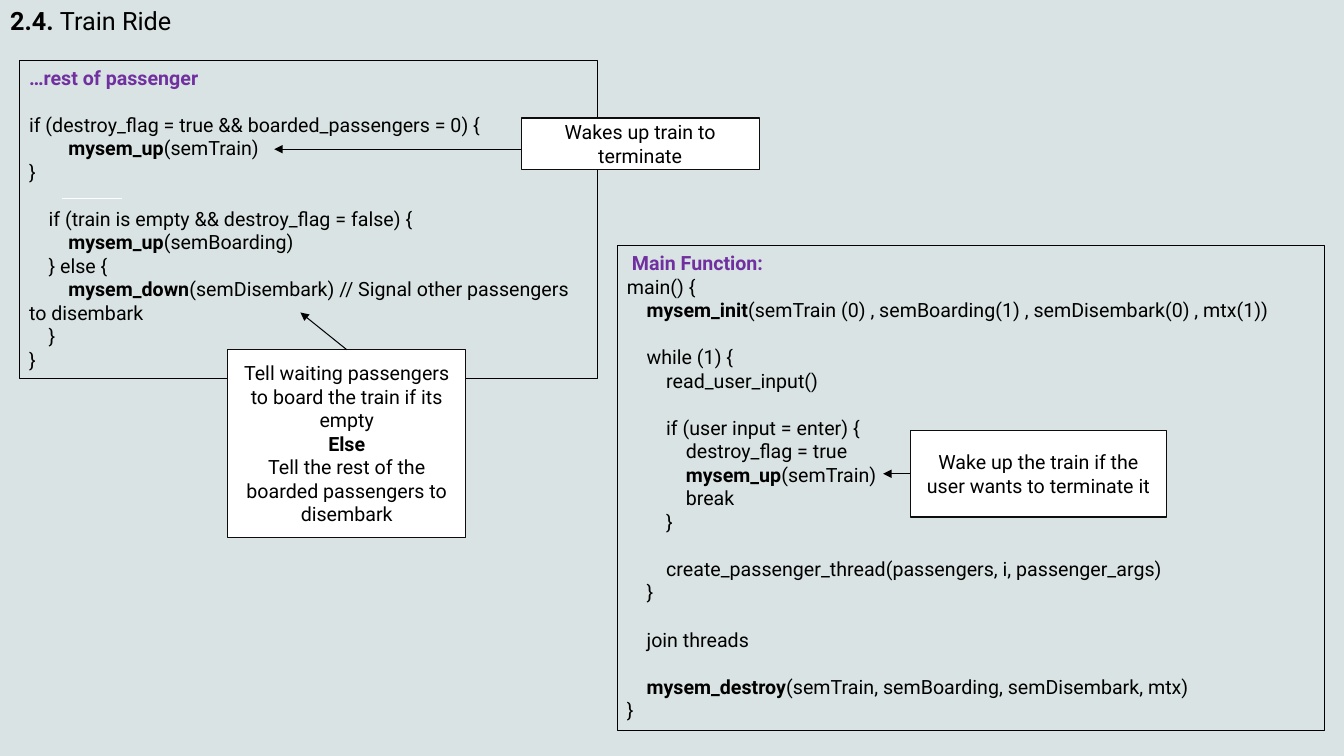
from lxml import etree
from pptx import Presentation
from pptx.dml.color import RGBColor
from pptx.enum.shapes import MSO_CONNECTOR, MSO_SHAPE
from pptx.enum.text import MSO_ANCHOR, MSO_AUTO_SIZE, PP_ALIGN
from pptx.oxml.ns import qn
from pptx.util import Inches, Pt

RECTANGLE = MSO_SHAPE.RECTANGLE
STRAIGHT = MSO_CONNECTOR.STRAIGHT
TOP, MIDDLE = MSO_ANCHOR.TOP, MSO_ANCHOR.MIDDLE
LEFT, CENTER = PP_ALIGN.LEFT, PP_ALIGN.CENTER
NO_FIT = MSO_AUTO_SIZE.NONE

BACKGROUND = RGBColor(0xDA, 0xE3, 0xE3)
BLACK = RGBColor(0, 0, 0)
NEAR_BLACK = RGBColor(0x0D, 0x0D, 0x0D)
WHITE = RGBColor(0xFF, 0xFF, 0xFF)
PURPLE = RGBColor(0x70, 0x30, 0xA0)

FONT = "Roboto"
INDENT_STEP = Pt(14)
BLANK_LINE = Pt(16.8)

# Content: code lines are (indent level, blank lines above, bold part, plain part)
TITLE = ("2.4. ", "Train Ride")
PASSENGER_CODE = [
    (0, 0, "…rest of passenger", ""),
    (0, 1, "", "if (destroy_flag = true && boarded_passengers = 0) {"),
    (2, 0, "mysem_up", "(semTrain)"),
    (0, 0, "", "}"),
    (1, 1, "", "if (train is empty && destroy_flag = false) {"),
    (2, 0, "mysem_up", "(semBoarding)"),
    (1, 0, "", "} else {"),
    (2, 0, "mysem_down", "(semDisembark) // Signal other passengers to disembark"),
    (1, 0, "", "}"),
    (0, 0, "", "}"),
]
MAIN_CODE = [
    (0.25, 0, "Main Function:", ""),
    (0, 0, "", "main() {"),
    (1, 0, "mysem_init", "(semTrain (0) , semBoarding(1) , semDisembark(0) , mtx(1))"),
    (1, 1, "", "while (1) {"),
    (2, 0, "", "read_user_input()"),
    (2, 1, "", "if (user input = enter) {"),
    (3, 0, "", "destroy_flag = true"),
    (3, 0, "mysem_up", "(semTrain)"),
    (3, 0, "", "break"),
    (2, 0, "", "}"),
    (2, 1, "", "create_passenger_thread(passengers, i, passenger_args)"),
    (1, 0, "", "}"),
    (1, 1, "", "join threads"),
    (1, 1, "mysem_destroy", "(semTrain, semBoarding, semDisembark, mtx)"),
    (0, 0, "", "}"),
]
CODE_PANELS = [
    ((0.19, 0.6, 5.74, 3.16), PASSENGER_CODE),
    ((6.12, 2.44, 7.02, 4.81), MAIN_CODE),
]
# Callout paragraphs are (bold part, plain part)
CALLOUTS = [
    ((5.17, 1.17, 2.36, 0.51), [("", "Wakes up train to terminate")]),
    ((2.26, 3.47, 2.36, 1.86), [
        ("", "Tell waiting passengers to board the train if its empty"),
        ("Else", ""),
        ("", "Tell the rest of the boarded passengers to disembark"),
    ]),
    ((9.03, 4.27, 2.54, 0.86),
     [("", "Wake up the train if the user wants to terminate it")]),
]
ACCENT_LINE = (0.62, 1.97, 1.21, 1.97)
ARROWS = [
    (5.17, 1.48, 2.72, 1.48),
    (3.44, 3.47, 2.98, 3.1),
    (9.03, 4.7, 8.76, 4.7),
]


def apply(target, values):
    for name, value in values.items():
        setattr(target, name, value)


def write(para, bold_part, plain_part, size=14, color=BLACK):
    for text, bold in ((bold_part, True), (plain_part, False)):
        if text:
            span = para.add_run()
            span.text = text
            apply(span.font, {"name": FONT, "size": Pt(size), "bold": bold})
            span.font.color.rgb = color


def add_paragraph(frame, position):
    return frame.add_paragraph() if position else frame.paragraphs[0]


def add_box(page, place, anchor, line_color, line_width, fill_color=None):
    box = page.shapes.add_shape(RECTANGLE, *map(Inches, place))
    box.shadow.inherit = False
    if fill_color is None:
        box.fill.background()
    else:
        box.fill.solid()
        box.fill.fore_color.rgb = fill_color
    box.line.color.rgb = line_color
    box.line.width = Pt(line_width)
    apply(box.text_frame, {"word_wrap": True, "vertical_anchor": anchor})
    return box.text_frame


def add_line(page, ends, color, width, arrow=False):
    line = page.shapes.add_connector(STRAIGHT, *map(Inches, ends))
    line.line.color.rgb = color
    line.line.width = Pt(width)
    if arrow:
        outline = line.line._get_or_add_ln()
        etree.SubElement(outline, qn("a:tailEnd"), type="triangle")
    etree.SubElement(line._element.spPr, qn("a:effectLst"))


def add_title(page):
    title = page.shapes.title
    apply(title, {"left": Inches(0), "top": Inches(0),
                  "width": Inches(6.67), "height": Inches(0.4)})
    frame = title.text_frame
    apply(frame, {"word_wrap": True, "vertical_anchor": TOP, "auto_size": NO_FIT})
    para = frame.paragraphs[0]
    para.alignment = LEFT
    write(para, *TITLE, size=18)


def add_code(page, place, lines):
    frame = add_box(page, place, TOP, BLACK, 0.75)
    for position, (level, blanks, bold_part, plain_part) in enumerate(lines):
        para = add_paragraph(frame, position)
        apply(para, {"alignment": LEFT, "space_before": blanks * BLANK_LINE})
        # First-line indent, so that wrapped text returns to the margin
        para._p.get_or_add_pPr().set("indent", str(int(level * INDENT_STEP)))
        write(para, bold_part, plain_part, color=BLACK if position else PURPLE)


def add_callout(page, place, paragraphs):
    frame = add_box(page, place, MIDDLE, NEAR_BLACK, 0.85, WHITE)
    for position, parts in enumerate(paragraphs):
        para = add_paragraph(frame, position)
        para.alignment = CENTER
        write(para, *parts)


def main():
    deck = Presentation()
    apply(deck, {"slide_width": Inches(13.33), "slide_height": Inches(7.5)})
    page = deck.slides.add_slide(deck.slide_layouts.get_by_name("Title Only"))
    page.background.fill.solid()
    page.background.fill.fore_color.rgb = BACKGROUND

    # Title and accent line
    add_title(page)
    add_line(page, ACCENT_LINE, WHITE, 1)

    # Code panels, their callouts and the arrows
    for place, lines in CODE_PANELS:
        add_code(page, place, lines)
    for place, paragraphs in CALLOUTS:
        add_callout(page, place, paragraphs)
    for ends in ARROWS:
        add_line(page, ends, BLACK, 0.75, arrow=True)

    deck.save("out.pptx")


if __name__ == "__main__":
    main()
